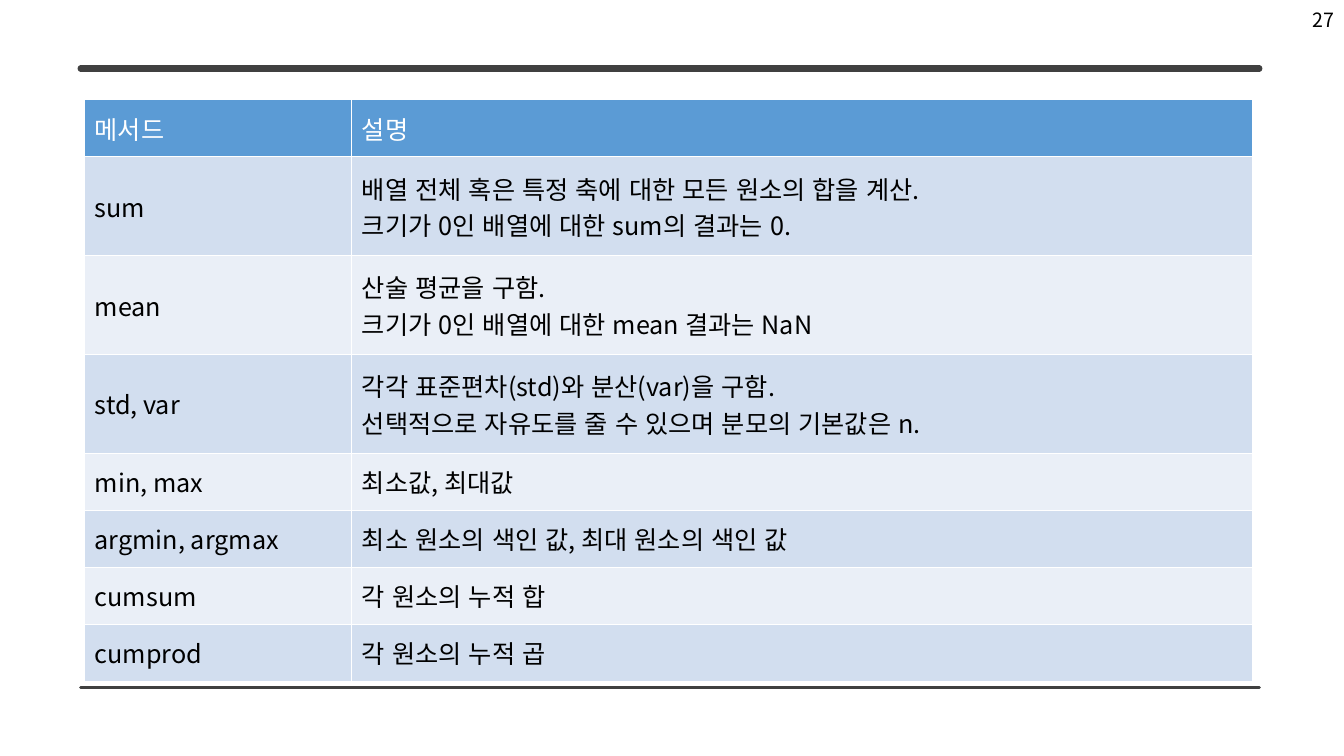
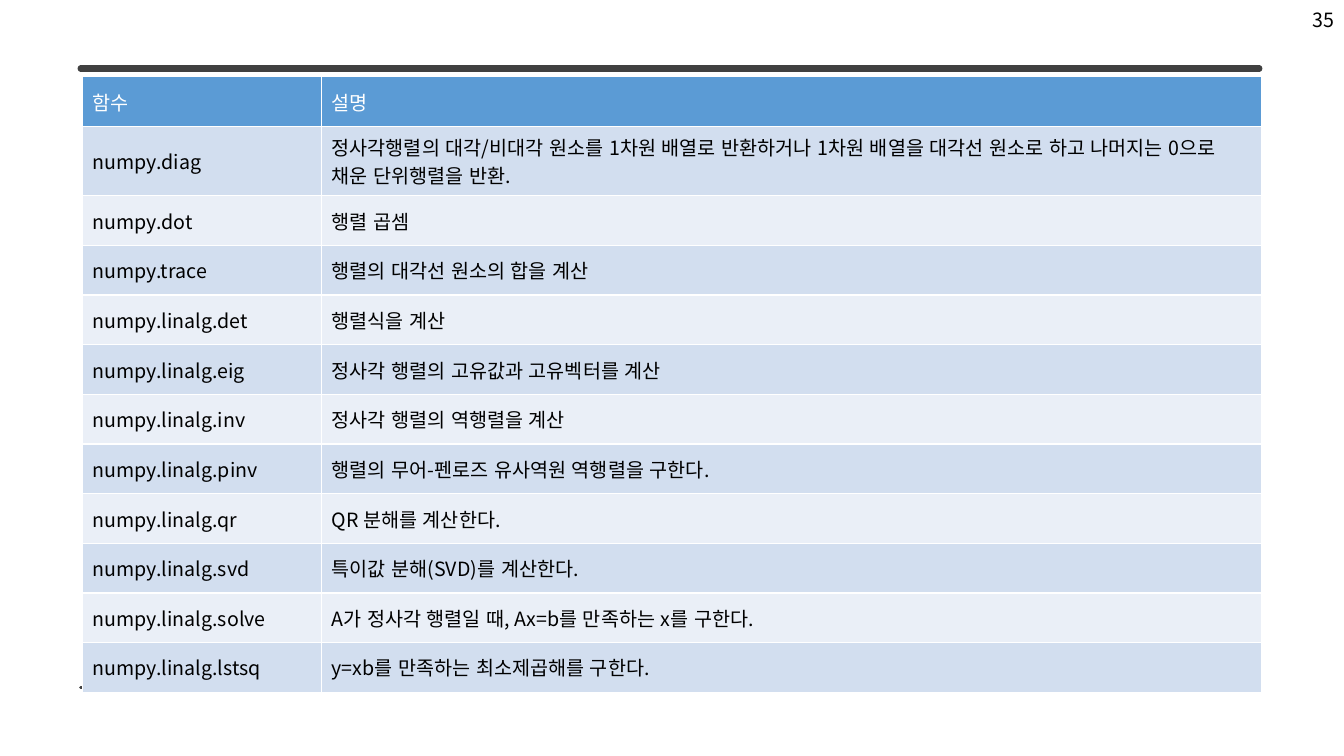
import pptx
import pptx.dml.color
import pptx.enum.lang
import pptx.enum.shapes
import pptx.enum.text
import pptx.oxml
import pptx.oxml.ns
import pptx.util

FONT = "Noto Sans CJK KR"
COLOURS = {
    "rule": "404040", "text": "000000", "border": "FFFFFF",
    "header": "5B9BD5", "bands": ("D2DEEF", "EAEFF7"),
}
SLIDE_SIZE = (13.33, 7.5)
RULE_SPAN = (0.8, 12.49)
RULES = [(6.82, 2.25), (0.68, 4.5)]
NUMBER_BOX = (10.33, 0, 3, 0.4)
BORDER_WIDTH = 1

SLIDES = [
    {
        "number": "27", "size": 18, "box": (0.84, 0.99, 11.58, 5.77),
        "first_column": 2.65, "tall_height": 0.98, "tall_rows": (1, 2, 3),
        "rows": [
            ("메서드", "설명"),
            ("sum", "배열 전체 혹은 특정 축에 대한 모든 원소의 합을 계산.\n"
                    "크기가 0인 배열에 대한 sum의 결과는 0."),
            ("mean", "산술 평균을 구함.\n크기가 0인 배열에 대한 mean 결과는 NaN"),
            ("std, var", "각각 표준편차(std)와 분산(var)을 구함.\n"
                         "선택적으로 자유도를 줄 수 있으며 분모의 기본값은 n."),
            ("min, max", "최소값, 최대값"),
            ("argmin, argmax", "최소 원소의 색인 값, 최대 원소의 색인 값"),
            ("cumsum", "각 원소의 누적 합"),
            ("cumprod", "각 원소의 누적 곱"),
        ],
    },
    {
        "number": "35", "size": 14, "box": (0.82, 0.76, 11.69, 6.11),
        "first_column": 2.37, "tall_height": 0.69, "tall_rows": (1,),
        "rows": [
            ("함수", "설명"),
            ("numpy.diag", "정사각행렬의 대각/비대각 원소를 1차원 배열로 반환하거나 "
                           "1차원 배열을 대각선 원소로 하고 나머지는 0으로 채운 단위행렬을 반환."),
            ("numpy.dot", "행렬 곱셈"),
            ("numpy.trace", "행렬의 대각선 원소의 합을 계산"),
            ("numpy.linalg.det", "행렬식을 계산"),
            ("numpy.linalg.eig", "정사각 행렬의 고유값과 고유벡터를 계산"),
            ("numpy.linalg.inv", "정사각 행렬의 역행렬을 계산"),
            ("numpy.linalg.pinv", "행렬의 무어-펜로즈 유사역원 역행렬을 구한다."),
            ("numpy.linalg.qr", "QR 분해를 계산한다."),
            ("numpy.linalg.svd", "특이값 분해(SVD)를 계산한다."),
            ("numpy.linalg.solve", "A가 정사각 행렬일 때, Ax=b를 만족하는 x를 구한다."),
            ("numpy.linalg.lstsq", "y=xb를 만족하는 최소제곱해를 구한다."),
        ],
    },
]


def colour(value):
    return pptx.dml.color.RGBColor.from_string(value)


def inches(values):
    return [pptx.util.Inches(value) for value in values]


def add_child(parent, tag, **attributes):
    child = pptx.oxml.parse_xml(f"<{tag} {pptx.oxml.ns.nsdecls('a')}/>")
    for name, value in attributes.items():
        child.set(name, value)
    parent.append(child)
    return child


def write(text_frame, text, size, text_colour, alignment=None):
    text_frame.text = text
    text_frame.word_wrap = True
    font_format = {
        "name": FONT, "size": pptx.util.Pt(size),
        "language_id": pptx.enum.lang.MSO_LANGUAGE_ID.KOREAN,
    }
    for paragraph in text_frame.paragraphs:
        paragraph.alignment = alignment
        for run in paragraph.runs:
            for name, value in font_format.items():
                setattr(run.font, name, value)
            run.font.color.rgb = colour(text_colour)
            add_child(run.font._element, "a:ea", typeface=FONT)


def add_frame(slide, number):
    for height, width in RULES:
        start, end = RULE_SPAN
        rule = slide.shapes.add_connector(
            pptx.enum.shapes.MSO_CONNECTOR.STRAIGHT,
            *inches((start, height, end, height)))
        rule.line.color.rgb = colour(COLOURS["rule"])
        rule.line.width = pptx.util.Pt(width)
        rule.line._ln.set("cap", "rnd")
        add_child(rule._element.spPr, "a:effectLst")
    box = slide.shapes.add_textbox(*inches(NUMBER_BOX))
    box.text_frame.vertical_anchor = pptx.enum.text.MSO_ANCHOR.MIDDLE
    write(box.text_frame, number, 14, COLOURS["text"],
          pptx.enum.text.PP_ALIGN.RIGHT)


def add_borders(cell):
    properties = cell._tc.get_or_add_tcPr()
    for side in "LRTB":
        line = add_child(properties, f"a:ln{side}",
                         w=str(pptx.util.Pt(BORDER_WIDTH)))
        add_child(add_child(line, "a:solidFill"), "a:srgbClr",
                  val=COLOURS["border"])


def add_table(slide, content):
    rows, tall_rows = content["rows"], content["tall_rows"]
    tall_height = content["tall_height"]
    width, height = content["box"][2:]
    row_height = (height - tall_height * len(tall_rows)) / (len(rows) - len(tall_rows))
    table = slide.shapes.add_table(
        len(rows), len(rows[0]), *inches(content["box"])).table
    first = content["first_column"]
    for column, column_width in zip(table.columns, inches((first, width - first))):
        column.width = column_width
    for row_index, texts in enumerate(rows):
        table.rows[row_index].height = pptx.util.Inches(
            tall_height if row_index in tall_rows else row_height)
        is_header = row_index == 0
        fill = COLOURS["header"] if is_header else COLOURS["bands"][(row_index - 1) % 2]
        text_colour = COLOURS["border"] if is_header else COLOURS["text"]
        for column_index, text in enumerate(texts):
            cell = table.cell(row_index, column_index)
            add_borders(cell)
            cell.fill.solid()
            cell.fill.fore_color.rgb = colour(fill)
            cell.vertical_anchor = pptx.enum.text.MSO_ANCHOR.MIDDLE
            write(cell.text_frame, text, content["size"], text_colour)


def main():
    presentation = pptx.Presentation()
    presentation.slide_width, presentation.slide_height = inches(SLIDE_SIZE)
    for content in SLIDES:
        slide = presentation.slides.add_slide(presentation.slide_layouts[6])
        add_frame(slide, content["number"])
        add_table(slide, content)
    presentation.save("out.pptx")


if __name__ == "__main__":
    main()
